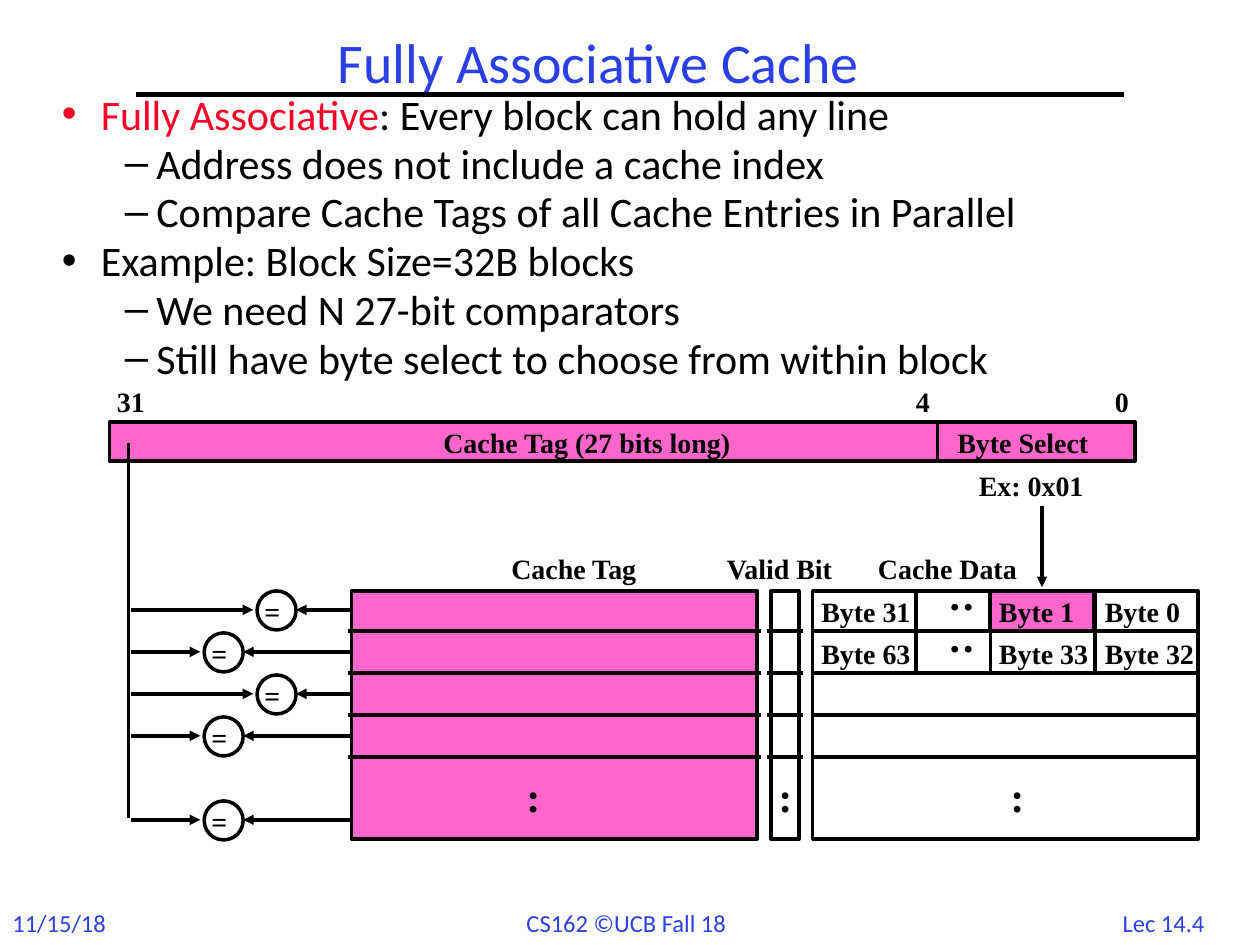
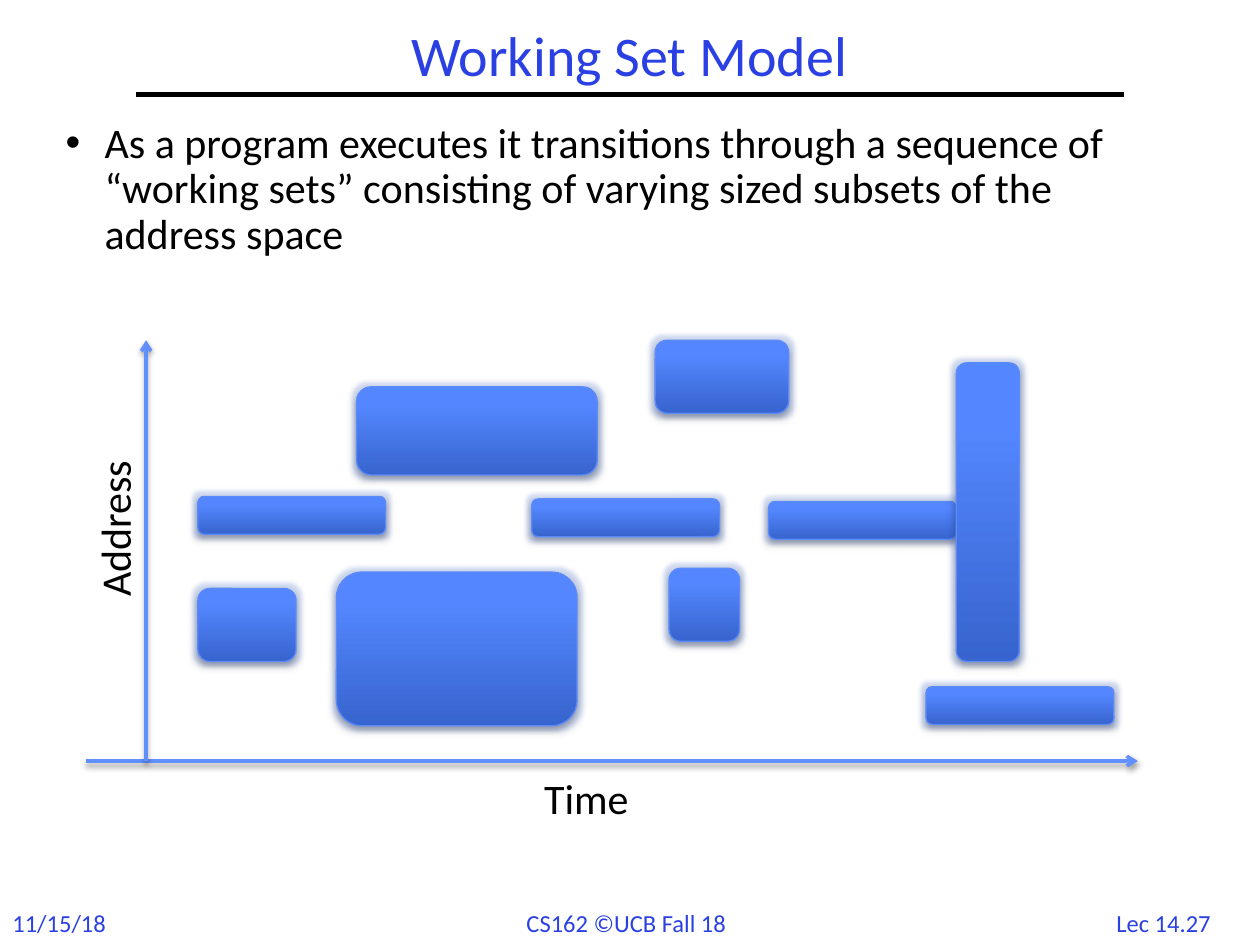
from dataclasses import dataclass
from typing import NamedTuple, Optional

from lxml import etree
from pptx import Presentation
from pptx import util as u
from pptx.dml.color import RGBColor
from pptx.enum import shapes, text
from pptx.oxml.ns import qn

In = u.Inches


# Theme: colours, fonts and type sizes
@dataclass(frozen=True)
class Theme:
    blue: str = "2A40E2"
    red: str = "FC0128"
    black: str = "000000"
    pink: str = "FF66CC"
    axis: str = "618FFD"
    block_edge: str = "5B8AFB"
    block_dark: str = "3764CE"
    block_light: str = "5487FF"
    sans: str = "Calibri"
    serif: str = "Times New Roman"
    title: int = 32
    body: int = 24
    label: int = 16
    footer: int = 14


T = Theme()


class Box(NamedTuple):
    x: float
    y: float
    w: float
    h: float

    def emu(self) -> list:
        return [In(v) for v in self]


class Shadow(NamedTuple):
    alpha: int
    dist: int
    glow: int = 0


class Bullet(NamedTuple):
    level: int
    runs: list  # (text, colour) pairs


class Label(NamedTuple):
    text: str
    x: float
    y: float
    w: float


class Comparator(NamedTuple):
    row: int
    x: float


BLOCK_SHADOW = Shadow(35, 23000, 63500)
AXIS_SHADOW = Shadow(38, 20000)


# Text helpers
def add_text(p, content: str, *, size: int = T.body, font: str = T.sans,
             color: str = T.black, bold: bool = False) -> None:
    r = p.add_run()
    r.text = content
    r.font.size = u.Pt(size)
    r.font.name = font
    r.font.bold = bold
    r.font.color.rgb = RGBColor.from_string(color)


def set_insets(tf, side: float, top: float) -> None:
    tf.margin_left = tf.margin_right = In(side)
    tf.margin_top = tf.margin_bottom = In(top)


def add_label(s, content: str, box: Box, *, rotation: int = 0, center: bool = False,
              **fmt) -> None:
    sp = s.shapes.add_textbox(*box.emu())
    sp.rotation = rotation
    tf = sp.text_frame
    tf.word_wrap = False
    set_insets(tf, 0.1, 0.05)
    p = tf.paragraphs[0]
    if center:
        p.alignment = text.PP_ALIGN.CENTER
    add_text(p, content, **fmt)


def add_serif(s, label: Label) -> None:
    add_label(s, label.text, Box(label.x, label.y, label.w, 0.36),
              size=T.label, font=T.serif, bold=True)


def add_dots(s, x: float, y: float, rotation: int = 0) -> None:
    add_label(s, ":", Box(x, y, 0.31, 0.5), rotation=rotation, font=T.serif, bold=True)


# Shape helpers
def add_alpha_color(effect, color: str, alpha: int) -> None:
    clr = etree.SubElement(effect, qn("a:srgbClr"), val=color)
    etree.SubElement(clr, qn("a:alpha"), val=str(alpha * 1000))


def set_effects(sp, shadow: Optional[Shadow]) -> None:
    effects = etree.SubElement(sp._element.spPr, qn("a:effectLst"))
    if shadow and shadow.glow:
        glow = etree.SubElement(effects, qn("a:glow"), rad=str(shadow.glow))
        add_alpha_color(glow, T.block_dark, 20)
    if shadow:
        outer = etree.SubElement(effects, qn("a:outerShdw"), blurRad="40000",
                                 dist=str(shadow.dist), dir="5400000", rotWithShape="0")
        add_alpha_color(outer, T.black, shadow.alpha)


def set_line(sp, color: str, width: float) -> None:
    sp.line.color.rgb = RGBColor.from_string(color)
    sp.line.width = u.Pt(width)


def add_line(s, x1: float, y1: float, x2: float, y2: float, *, color: str = T.black,
             width: float = 2, arrow: str = "", shadow: Optional[Shadow] = None) -> None:
    cn = s.shapes.add_connector(shapes.MSO_CONNECTOR.STRAIGHT, In(x1), In(y1), In(x2), In(y2))
    set_line(cn, color, width)
    if arrow:
        etree.SubElement(cn._element.spPr.find(qn("a:ln")), qn("a:tailEnd"), type=arrow)
    set_effects(cn, shadow)


def add_box(s, box: Box, *, fill: str = "", width: float = 2,
            kind=shapes.MSO_SHAPE.RECTANGLE) -> None:
    sp = s.shapes.add_shape(kind, *box.emu())
    if fill:
        sp.fill.solid()
        sp.fill.fore_color.rgb = RGBColor.from_string(fill)
    else:
        sp.fill.background()
    set_line(sp, T.black, width)
    sp.shadow.inherit = False


def add_block(s, box: Box) -> None:
    sp = s.shapes.add_shape(shapes.MSO_SHAPE.ROUNDED_RECTANGLE, *box.emu())
    sp.fill.gradient()
    sp.fill.gradient_angle = 90
    stops = zip(sp.fill.gradient_stops, (0, 0.8), (T.block_dark, T.block_light))
    for stop, position, color in stops:
        stop.position = position
        stop.color.rgb = RGBColor.from_string(color)
    set_line(sp, T.block_edge, 0.75)
    set_effects(sp, BLOCK_SHADOW)


# Shared slide frame
def place(sp, box: Box):
    sp.left, sp.top, sp.width, sp.height = box.emu()
    tf = sp.text_frame
    tf.auto_size = text.MSO_AUTO_SIZE.NONE
    return tf


def add_slide(prs, title: str, title_box: Box, number: str):
    s = prs.slides.add_slide(prs.slide_layouts[1])
    tf = place(s.shapes.title, title_box)
    tf.vertical_anchor = text.MSO_ANCHOR.MIDDLE
    set_insets(tf, 0.07, 0.03)
    p = tf.paragraphs[0]
    p.alignment = text.PP_ALIGN.CENTER
    p.line_spacing = 0.9
    add_text(p, title, size=T.title, color=T.blue)
    add_line(s, 1.08, 0.75, 8.92, 0.75, width=3)
    footer = dict(size=T.footer, color=T.blue)
    add_label(s, "11/15/18", Box(0, 7.16, 1.2, 0.34), **footer)
    add_label(s, "CS162 ©UCB Fall 18", Box(4.08, 7.16, 1.88, 0.34), **footer)
    add_label(s, number, Box(8.72, 7.16, 1.03, 0.34), center=True, **footer)
    return s


def fill_body(s, box: Box, bullets: list, *, spacing: float, before: float,
              insets: tuple) -> None:
    tf = place(s.placeholders[1], box)
    tf.vertical_anchor = text.MSO_ANCHOR.TOP
    set_insets(tf, *insets)
    for i, bullet in enumerate(bullets):
        p = tf.add_paragraph() if i else tf.paragraphs[0]
        p.level = bullet.level
        p.line_spacing = spacing
        p.space_before = u.Pt(before if i else 0)
        left, hang, mark = ((0.31, 0.31, "•"), (0.75, 0.25, "–"))[bullet.level]
        pPr = p._p.get_or_add_pPr()
        pPr.set("marL", str(In(left)))
        pPr.set("indent", str(-In(hang)))
        etree.SubElement(pPr, qn("a:buChar"), char=mark)
        for content, color in bullet.runs:
            add_text(p, content, color=color)


# Slide: fully associative cache
ROW = 1 / 3
TOP, HEIGHT = 4.69, 1.97
CELL = 0.31

CACHE_BULLETS = [
    Bullet(0, [("Fully Associative", T.red), (": Every block can hold any line", T.black)]),
    Bullet(1, [("Address does not include a cache index", T.black)]),
    Bullet(1, [("Compare Cache Tags of all Cache Entries in Parallel", T.black)]),
    Bullet(0, [("Example: Block Size=32B blocks", T.black)]),
    Bullet(1, [("We need N 27-bit comparators", T.black)]),
    Bullet(1, [("Still have byte select to choose from within block", T.black)]),
]
CACHE_LABELS = [
    Label("31", 0.83, 3, 0.42), Label("4", 7.17, 3, 0.31), Label("0", 8.75, 3, 0.31),
    Label("Cache Tag (27 bits long)", 3.42, 3.33, 2.51),
    Label("Byte Select", 7.5, 3.33, 1.24), Label("Ex: 0x01", 7.67, 3.67, 1.03),
    Label("Cache Tag", 3.96, 4.33, 1.21), Label("Valid Bit", 5.67, 4.33, 1.06),
    Label("Cache Data", 6.87, 4.33, 1.3),
]
BYTE_ROWS = [("Byte 31", "Byte 1", "Byte 0"), ("Byte 63", "Byte 33", "Byte 32")]
COMPARATORS = [Comparator(0, 2.04), Comparator(1, 1.62), Comparator(2, 2.04),
               Comparator(3, 1.62), Comparator(5, 1.62)]


def add_column(s, x: float, w: float, overhang: float, dots_x: float, fill: str = "") -> None:
    add_box(s, Box(x, TOP, w, HEIGHT), fill=fill)
    for i in range(4):
        y = 5.01 + i * ROW
        add_line(s, x - overhang, y, x + w + overhang, y)
    add_dots(s, dots_x, 6.07)


def add_comparator(s, comp: Comparator) -> None:
    offset = comp.row * ROW
    y = 4.84 + offset
    add_box(s, Box(comp.x, TOP + offset, CELL, CELL), kind=shapes.MSO_SHAPE.OVAL)
    add_serif(s, Label("=", comp.x - 0.04, 4.67 + offset, 0.32))
    add_line(s, 2.79, y, comp.x + CELL, y, arrow="triangle")
    add_line(s, 1.04, y, comp.x - 0.03, y, arrow="triangle")


def build_cache(prs) -> None:
    s = add_slide(prs, "Fully Associative Cache", Box(2.55, 0.25, 4.4, 0.54), "Lec 14.4")
    fill_body(s, Box(0.42, 0.75, 9.25, 2.82), CACHE_BULLETS,
              spacing=0.8, before=4.8, insets=(0.07, 0.03))

    # Address fields
    add_box(s, Box(0.87, 3.35, 6.57, CELL), fill=T.pink)
    add_box(s, Box(7.44, 3.35, 1.57, CELL), fill=T.pink)

    # Cache columns: tag, valid bit, data
    add_box(s, Box(7.85, TOP, 0.83, CELL), fill=T.pink, width=1.5)
    add_column(s, 2.79, 3.22, 0.03, 4.08, T.pink)
    add_column(s, 6.12, 0.22, 0.03, 6.08)
    add_column(s, 6.45, 3.06, 0, 7.92)
    for i, names in enumerate(BYTE_ROWS):
        offset = i * ROW
        for name, x in zip(names, (6.42, 7.83, 8.67)):
            add_serif(s, Label(name, x, 4.67 + offset, 0.91))
        for x in (7.27, 7.86, 8.69):
            add_line(s, x, TOP + offset, x, 4.99 + offset)
        add_dots(s, 7.42, 4.57 + offset, 270)

    # Comparators and byte selection
    add_line(s, 1.02, 3.52, 1.02, 6.49)
    for comp in COMPARATORS:
        add_comparator(s, comp)
    add_line(s, 8.27, 4.02, 8.27, 4.66, arrow="triangle")
    for label in CACHE_LABELS:
        add_serif(s, label)


# Slide: working set model
WORKING_SETS = [
    Box(1.57, 4.67, 0.78, 0.58), Box(1.57, 3.94, 1.49, 0.3), Box(2.67, 4.54, 1.91, 1.22),
    Box(2.83, 3.07, 1.91, 0.7), Box(4.22, 3.96, 1.49, 0.3), Box(5.31, 4.51, 0.56, 0.58),
    Box(5.2, 2.7, 1.06, 0.58), Box(6.1, 3.98, 1.49, 0.3), Box(7.59, 2.88, 0.5, 2.37),
    Box(7.35, 5.45, 1.49, 0.3),
]
MODEL_BULLETS = [Bullet(0, [(
    "As a program executes it transitions through a sequence of “working sets” "
    "consisting of varying sized subsets of the address space", T.black)])]


def build_working_set(prs) -> None:
    s = add_slide(prs, "Working Set Model", Box(1.08, 0.17, 7.83, 0.58), "Lec 14.27")
    fill_body(s, Box(0.42, 0.92, 9, 1.79), MODEL_BULLETS,
              spacing=0.9, before=7.2, insets=(0.1, 0.05))

    # Axes
    axis = dict(color=T.axis, arrow="arrow", shadow=AXIS_SHADOW)
    add_line(s, 0.68, 6.04, 9.03, 6.04, **axis)
    add_line(s, 1.16, 6.04, 1.16, 2.7, **axis)
    add_label(s, "Time", Box(4.22, 6.08, 0.9, 0.5))
    add_label(s, "Address", Box(0.25, 3.93, 1.31, 0.5), rotation=270)

    for box in WORKING_SETS:
        add_block(s, box)


def main() -> None:
    prs = Presentation()
    prs.slide_width, prs.slide_height = In(10), In(7.5)
    build_cache(prs)
    build_working_set(prs)
    prs.save("out.pptx")


if __name__ == "__main__":
    main()
